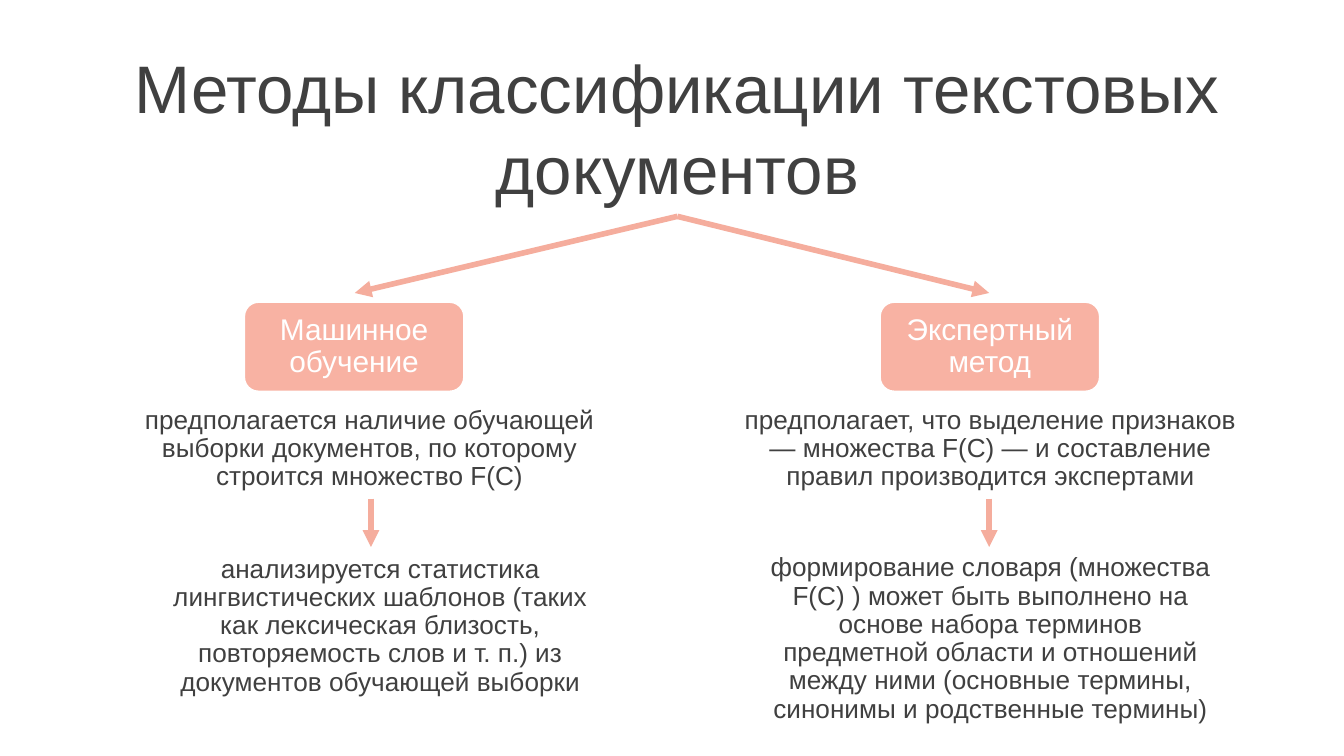
import dataclasses

import pptx
import pptx.dml.color
import pptx.enum.shapes
import pptx.enum.text
import pptx.oxml
import pptx.oxml.ns
import pptx.util

EMU_PER_PX = 9144  # 100 px to the inch
SLIDE_WIDTH = 1000


@dataclasses.dataclass(frozen=True)
class Theme:
    font: str = "Arial"
    ink: str = "404040"
    white: str = "FFFFFF"
    box: str = "F8B2A3"
    arrow: str = "F5AD9D"
    title_size: int = 36
    box_size: int = 16
    body_size: int = 14
    arrow_width: int = 3
    outline_width: int = 2


THEME = Theme()


@dataclasses.dataclass(frozen=True)
class Method:
    """One branch: its heading and two steps, each with (left, top, width, height)."""
    name: str
    box: tuple
    branch_x: int
    definition: str
    definition_area: tuple
    step_x: int
    procedure: str
    procedure_area: tuple


METHODS = (
    Method(
        "Машинное обучение", (181, 224, 165, 68), 264,
        "предполагается наличие обучающей выборки документов, "
        "по которому строится множество F(C)",
        (98, 297, 354, 74), 276,
        "анализируется статистика лингвистических шаблонов (таких как лексическая "
        "близость, повторяемость слов и т. п.) из документов обучающей выборки",
        (106, 408, 354, 116),
    ),
    Method(
        "Экспертный метод", (654, 224, 165, 68), 736,
        "предполагает, что выделение признаков — множества F(C) — "
        "и составление правил производится экспертами",
        (542, 297, 390, 74), 736,
        "формирование словаря (множества F(C) ) может быть выполнено на основе "
        "набора терминов предметной области и отношений между ними "
        "(основные термины, синонимы и родственные термины)",
        (560, 407, 354, 137),
    ),
)


def px(length):
    return pptx.util.Emu(length * EMU_PER_PX)


def rgb(color):
    return pptx.dml.color.RGBColor.from_string(color)


def write_text(shape, text, size, color, line_spacing=0.9):
    """Put one centred paragraph in the middle of the shape."""
    text_frame = shape.text_frame
    text_frame.text = text
    text_frame.word_wrap = True
    text_frame.auto_size = pptx.enum.text.MSO_AUTO_SIZE.NONE
    text_frame.vertical_anchor = pptx.enum.text.MSO_ANCHOR.MIDDLE
    paragraph = text_frame.paragraphs[0]
    paragraph.alignment = pptx.enum.text.PP_ALIGN.CENTER
    paragraph.line_spacing = line_spacing
    for run in paragraph.runs:
        run.font.name = THEME.font
        run.font.size = pptx.util.Pt(size)
        run.font.color.rgb = rgb(color)


def set_title(slide, text, area):
    title = slide.shapes.title
    title.left, title.top, title.width, title.height = map(px, area)
    write_text(title, text, THEME.title_size, THEME.ink, line_spacing=1.0)


def add_text(slide, text, area):
    shape = slide.shapes.add_textbox(*map(px, area))
    write_text(shape, text, THEME.body_size, THEME.ink)


def add_heading_box(slide, text, area):
    shape = slide.shapes.add_shape(
        pptx.enum.shapes.MSO_SHAPE.ROUNDED_RECTANGLE, *map(px, area))
    shape.shadow.inherit = False
    shape.fill.solid()
    shape.fill.fore_color.rgb = rgb(THEME.box)
    shape.line.color.rgb = rgb(THEME.white)
    shape.line.width = pptx.util.Pt(THEME.outline_width)
    text_frame = shape.text_frame
    text_frame.margin_left = text_frame.margin_right = px(7)
    text_frame.margin_top = text_frame.margin_bottom = px(7)
    write_text(shape, text, THEME.box_size, THEME.white)


def add_arrow(slide, start, end):
    arrow = slide.shapes.add_connector(
        pptx.enum.shapes.MSO_CONNECTOR.STRAIGHT, *map(px, start + end))
    arrow.line.color.rgb = rgb(THEME.arrow)
    arrow.line.width = pptx.util.Pt(THEME.arrow_width)
    namespace = pptx.oxml.ns.nsdecls("a")
    properties = arrow._element.spPr
    properties.find(pptx.oxml.ns.qn("a:ln")).append(
        pptx.oxml.parse_xml(f'<a:tailEnd {namespace} type="triangle"/>'))
    properties.append(pptx.oxml.parse_xml(f"<a:effectLst {namespace}/>"))


def add_method(slide, method):
    add_arrow(slide, (504, 161), (method.branch_x, 218))
    add_heading_box(slide, method.name, method.box)
    add_text(slide, method.definition, method.definition_area)
    add_arrow(slide, (method.step_x, 371), (method.step_x, 407))
    add_text(slide, method.procedure, method.procedure_area)


def main():
    presentation = pptx.Presentation()
    presentation.slide_width = px(SLIDE_WIDTH)
    presentation.slide_height = px(SLIDE_WIDTH) * 9 // 16
    title_only = presentation.slide_layouts.get_by_name("Title Only")
    slide = presentation.slides.add_slide(title_only)
    set_title(slide, "Методы классификации текстовых документов", (83, 29, 842, 131))
    for method in METHODS:
        add_method(slide, method)
    presentation.save("out.pptx")


if __name__ == "__main__":
    main()
